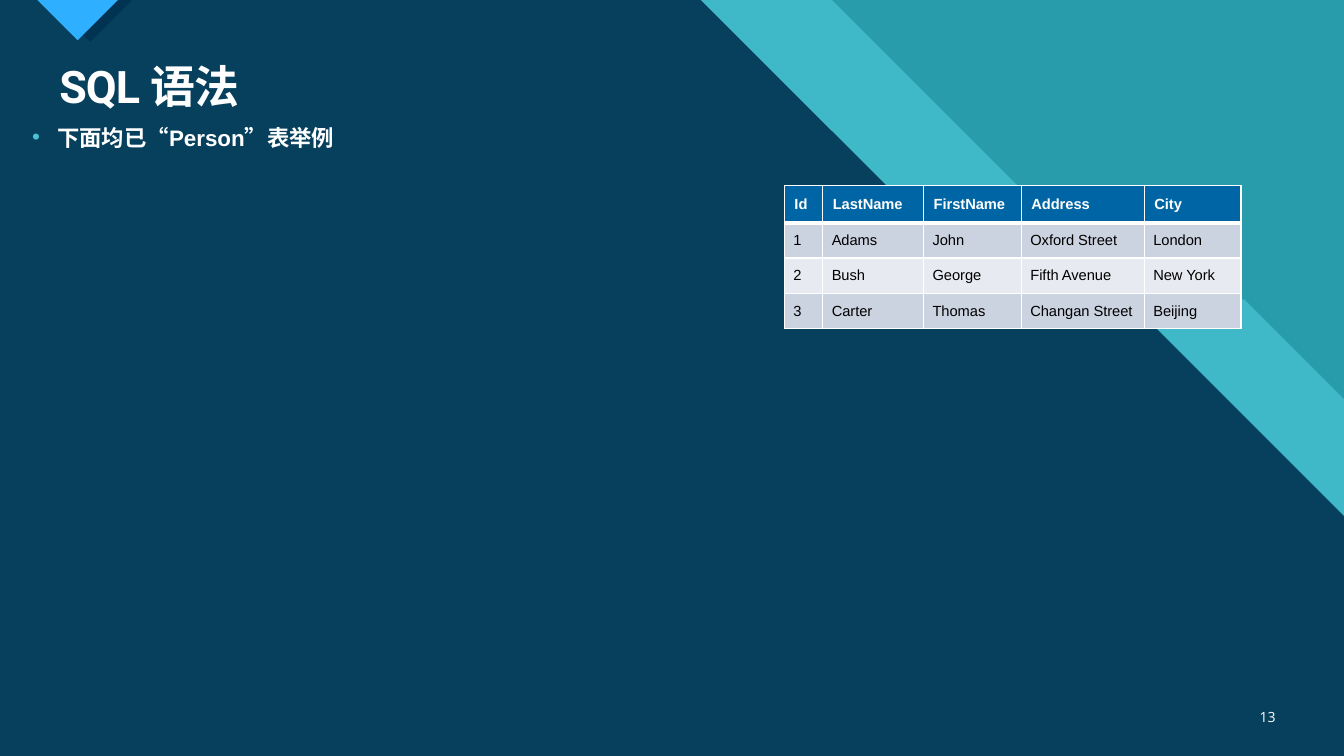
import pptx
import pptx.util
import pptx.dml.color
import pptx.enum.text
import pptx.oxml.ns
from lxml import etree

Inches = pptx.util.Inches
Pt = pptx.util.Pt
PP_ALIGN = pptx.enum.text.PP_ALIGN
MSO_ANCHOR = pptx.enum.text.MSO_ANCHOR
qn = pptx.oxml.ns.qn

COLORS = {
    "teal": "299CAB",
    "aqua": "47C3D3",
    "navy": "003352",
    "sky": "2FAFFF",
    "header": "0065A4",
    "odd": "CCD3E0",
    "even": "E7EAF0",
    "white": "FFFFFF",
    "black": "000000",
}
WIDTH, HEIGHT = 13.33, 7.5
PERSONS = [
    ["Id", "LastName", "FirstName", "Address", "City"],
    ["1", "Adams", "John", "Oxford Street", "London"],
    ["2", "Bush", "George", "Fifth Avenue", "New York"],
    ["3", "Carter", "Thomas", "Changan Street", "Beijing"],
]
COL_WIDTHS = [0.38, 1, 0.97, 1.22, 0.96]
ROW_HEIGHTS = [0.37, 0.35, 0.35, 0.35]


def rgb(name):
    """Return the named colour."""
    return pptx.dml.color.RGBColor.from_string(COLORS[name])


def add_outline(s, points, color, opacity=100):
    """Draw a filled polygon without a line."""
    start, *rest = [(Inches(x), Inches(y)) for x, y in points]
    builder = s.shapes.build_freeform(*start)
    builder.add_line_segments(rest, close=True)
    sp = builder.convert_to_shape()
    sp.shadow.inherit = False
    sp.line.fill.background()
    sp.fill.solid()
    sp.fill.fore_color.rgb = rgb(color)
    if opacity < 100:
        clr = sp.fill._xPr.find(".//" + qn("a:srgbClr"))
        etree.SubElement(clr, qn("a:alpha"), val=str(opacity * 1000))


def add_diagonal(s, left, step, color, opacity):
    """Fill the area below a diagonal that steps right at one height."""
    bend = 2.97
    points = [(0, 0), (left, 0), (left + bend, bend), (left + bend + step, bend),
              (WIDTH, WIDTH - left - step), (WIDTH, HEIGHT), (0, HEIGHT)]
    add_outline(s, points, color, opacity)


def add_pointer(s, left, width, color):
    """Draw a triangle hanging from the top edge."""
    half = width / 2
    add_outline(s, [(left, 0), (left + width, 0), (left + half, half)], color)


def write_text(tf, text, size=10.5, font="Arial", color="white", bold=False,
               align=PP_ALIGN.LEFT, anchor=MSO_ANCHOR.TOP, spacing=None):
    """Write one formatted paragraph and return it."""
    tf.word_wrap = True
    tf.vertical_anchor = anchor
    p = tf.paragraphs[0]
    p.alignment = align
    r = p.add_run()
    r.text = text
    r.font.size = Pt(size)
    r.font.name = font
    r.font.bold = bold
    r.font.color.rgb = rgb(color)
    if spacing is not None:
        r.font._rPr.set("spc", str(int(spacing * 100)))
    return p


def add_text(s, left, top, width, height, text, **fmt):
    """Add a text box and return its paragraph."""
    box = s.shapes.add_textbox(Inches(left), Inches(top), Inches(width), Inches(height))
    return write_text(box.text_frame, text, **fmt)


def set_bullet(p, color, indent):
    """Give a paragraph a coloured bullet with a hanging indent."""
    pPr = p._p.get_or_add_pPr()
    pPr.set("marL", str(Inches(indent)))
    pPr.set("indent", str(-Inches(indent)))
    clr = etree.SubElement(pPr, qn("a:buClr"))
    etree.SubElement(clr, qn("a:srgbClr"), val=COLORS[color])
    etree.SubElement(pPr, qn("a:buFont"), typeface="Arial")
    etree.SubElement(pPr, qn("a:buChar"), char="•")


def set_borders(cell, top, bottom):
    """Draw white borders around a cell."""
    tcPr = cell._tc.get_or_add_tcPr()
    widths = {"a:lnL": 1, "a:lnR": 1, "a:lnT": top, "a:lnB": bottom}
    for i, (tag, width) in enumerate(widths.items()):
        ln = etree.Element(qn(tag), w=str(Pt(width)))
        fill = etree.SubElement(ln, qn("a:solidFill"))
        etree.SubElement(fill, qn("a:srgbClr"), val=COLORS["white"])
        tcPr.insert(i, ln)


def fill_cell(cell, text, row):
    """Write and style one table cell."""
    header = row == 0
    inset = 0.1 if header else 0.09
    cell.margin_left = cell.margin_right = Inches(inset)
    cell.margin_top = cell.margin_bottom = Inches(inset - 0.01)
    cell.vertical_anchor = MSO_ANCHOR.MIDDLE
    cell.fill.solid()
    cell.fill.fore_color.rgb = rgb("header" if header else "odd" if row % 2 else "even")
    write_text(cell.text_frame, text, bold=header, color="white" if header else "black",
               anchor=MSO_ANCHOR.MIDDLE)
    set_borders(cell, top=3 if row == 1 else 1, bottom=3 if header else 1)


def add_person_table(s, left, top):
    """Add the Person table."""
    frame = s.shapes.add_table(len(PERSONS), len(COL_WIDTHS), Inches(left), Inches(top),
                               Inches(sum(COL_WIDTHS)), Inches(sum(ROW_HEIGHTS)))
    table = frame.table
    for column, width in zip(table.columns, COL_WIDTHS):
        column.width = Inches(width)
    for i, (height, person) in enumerate(zip(ROW_HEIGHTS, PERSONS)):
        table.rows[i].height = Inches(height)
        for j, text in enumerate(person):
            fill_cell(table.cell(i, j), text, i)


def main():
    """Build the slide and save it."""
    prs = pptx.Presentation()
    prs.slide_width, prs.slide_height = Inches(WIDTH), Inches(HEIGHT)
    s = prs.slides.add_slide(prs.slide_layouts[6])
    s.background.fill.solid()
    s.background.fill.fore_color.rgb = rgb("teal")

    add_diagonal(s, 8.25, 1.12, "aqua", 74)
    add_diagonal(s, 6.95, 1.26, "navy", 90)
    add_pointer(s, 0.48, 0.83, "navy")
    add_pointer(s, 0.37, 0.8, "sky")

    title = add_text(s, 0.49, 0.59, 12.26, 0.59, "SQL 语法", size=32, font="Roboto",
                     bold=True, spacing=-0.7)
    title.line_spacing = 0.9
    add_text(s, 12.31, 6.91, 0.44, 0.4, "13", size=10, font="Open Sans",
             align=PP_ALIGN.RIGHT, anchor=MSO_ANCHOR.MIDDLE)
    add_person_table(s, 7.78, 1.84)
    p = add_text(s, 0.22, 1.18, 7.35, 1.75, "下面均已“Person”表举例", size=16, bold=True)
    p.space_before, p.space_after = Pt(6), Pt(4)
    set_bullet(p, "aqua", 0.25)

    prs.save("out.pptx")


main()
